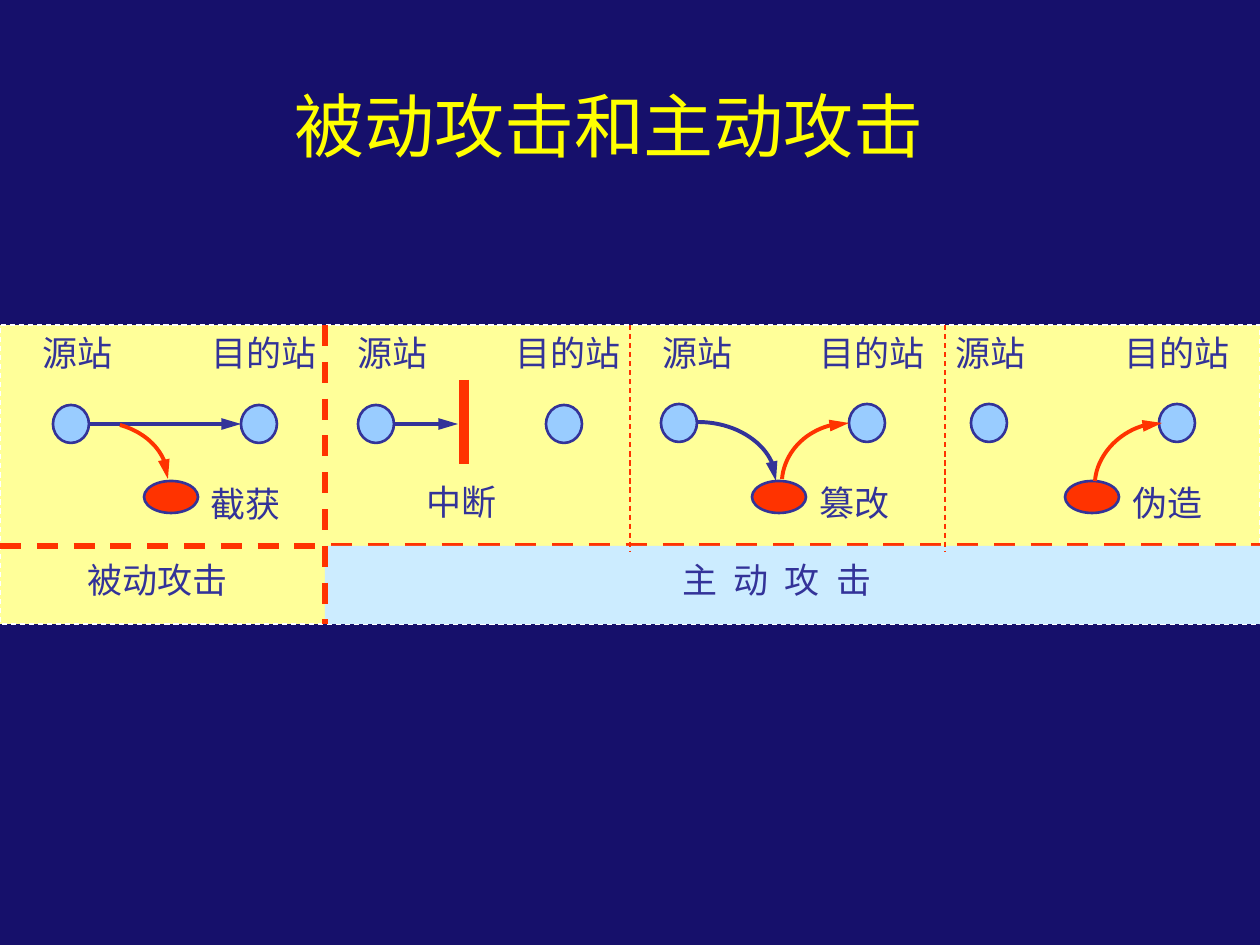
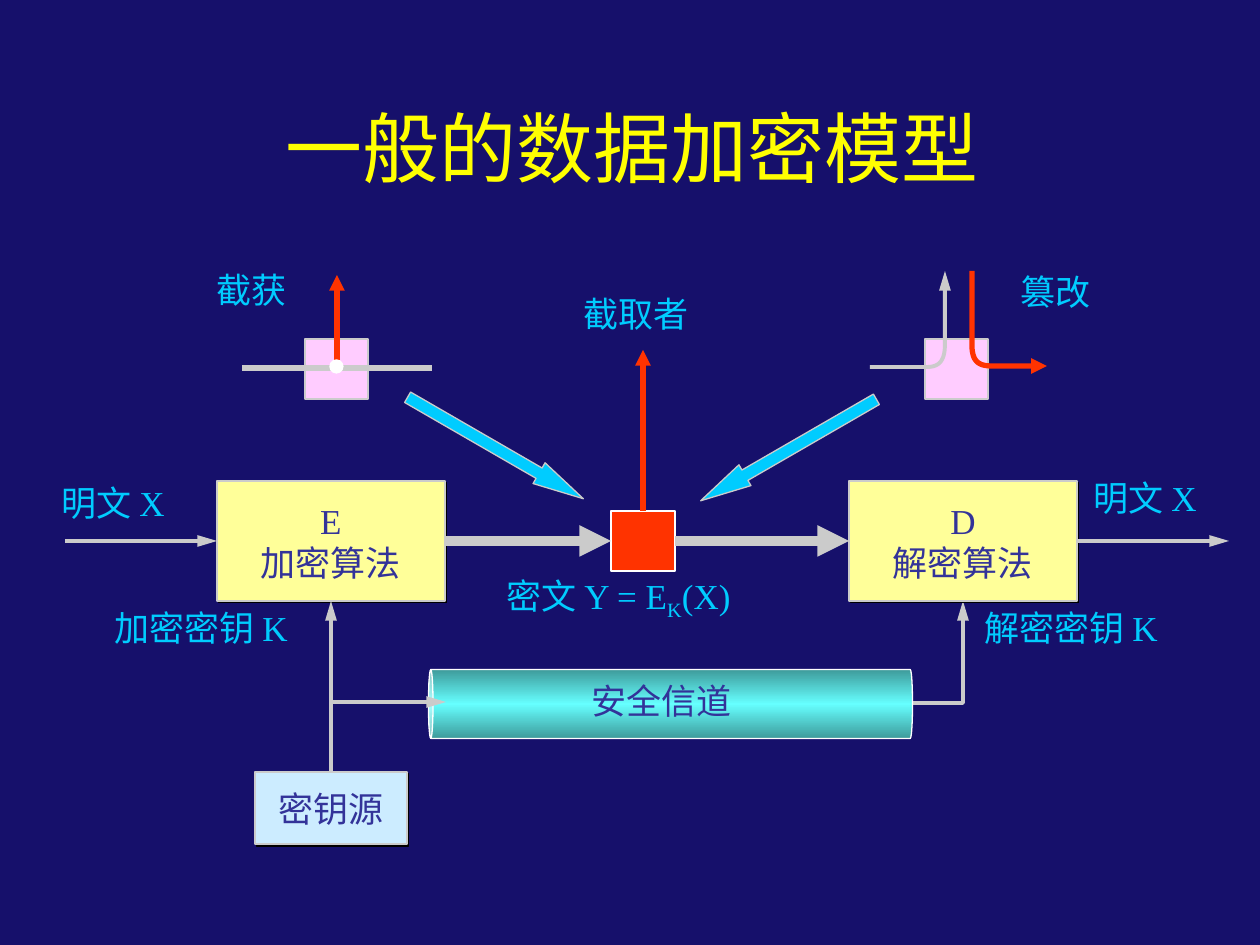
from collections import namedtuple

from lxml import etree
from pptx import Presentation
from pptx import util as u
from pptx.dml.color import RGBColor
from pptx.enum import dml, shapes, text
from pptx.oxml.ns import qn

SCALE = 914400 / 126
COLOURS = {
    "night": "16106B", "title": "FFFF01", "cream": "FFFF99", "ice": "CCECFF",
    "station": "99CCFF", "navy": "333399", "red": "FF3300", "grey": "CBCBCB",
    "cyan": "00CCFF", "pink": "FFCCFF", "white": "FFFFFF", "black": "000000",
    "teal": "3E9B9B", "aqua": "66FFFF",
}
SHAPE = shapes.MSO_SHAPE
Panel = namedtuple(
    "Panel", "source_x station_y source_label_x target_label_x attack attack_x attack_y intruder_x")
PANELS = [
    Panel(53, 405, 30, 199, "截获", 198, 476, 144),
    Panel(358, 405, 345, 503, "中断", 414, 474, None),
    Panel(661, 404, 650, 807, "篡改", 807, 475, 752),
    Panel(971, 404, 943, 1112, "伪造", 1120, 475, 1065),
]
STATION_STEP = 188


def emu(pixels):
    """Turn px into EMU."""
    return u.Emu(round(pixels * SCALE))


def rgb(name):
    """Look up a colour by name."""
    return RGBColor.from_string(COLOURS[name])


def add_xml(parent, tag, **attributes):
    """Append a DrawingML element to its parent."""
    return etree.SubElement(parent, qn(tag), attributes)


def style_line(shape, colour, width, dashed=False, arrow=False):
    """Set the colour, width, dash and end arrow of a line; thin lines get long heads."""
    shape.line.color.rgb = rgb(colour)
    shape.line.width = u.Pt(width)
    if dashed:
        shape.line.dash_style = dml.MSO_LINE.DASH
    if arrow:
        add_xml(shape.element.spPr.find(qn("a:ln")), "a:tailEnd", type="triangle",
                w="med", len="lg" if width < 3 else "med")


def style_text(frame, colour, font, size=20, align=None):
    """Format every run of a text frame."""
    for para in frame.paragraphs:
        para.alignment = align
        for span in para.runs:
            span.font.size = u.Pt(size)
            span.font.name = font
            span.font.color.rgb = rgb(colour)


def add_slide(deck, title, title_box, size):
    """Add a slide with the shared background and title style."""
    slide = deck.slides.add_slide(deck.slide_layouts[6])
    slide.background.fill.solid()
    slide.background.fill.fore_color.rgb = rgb("night")
    box = slide.shapes.add_textbox(*map(emu, title_box))
    frame = box.text_frame
    frame.word_wrap = True
    frame.vertical_anchor = text.MSO_ANCHOR.MIDDLE
    frame.text = title
    style_text(frame, "title", "Arial", size, text.PP_ALIGN.CENTER)
    return slide


def add_figure(slide, kind, bounds, fill, outline, width, dashed=False):
    """Add a filled preset shape."""
    figure = slide.shapes.add_shape(kind, *map(emu, bounds))
    figure.shadow.inherit = False
    figure.fill.solid()
    figure.fill.fore_color.rgb = rgb(fill)
    style_line(figure, outline, width, dashed)
    return figure


def add_box(slide, bounds, fill, words):
    """Add a captioned rectangle with a hard black shadow."""
    box = add_figure(slide, SHAPE.RECTANGLE, bounds, fill, "grey", 1)
    effects = box.element.spPr.find(qn("a:effectLst"))
    shadow = add_xml(effects, "a:outerShdw", dist="17780", dir="2700000",
                     algn="ctr", rotWithShape="0")
    add_xml(shadow, "a:srgbClr", val=COLOURS["black"])
    frame = box.text_frame
    frame.word_wrap = False
    frame.vertical_anchor = text.MSO_ANCHOR.MIDDLE
    frame.text = words
    style_text(frame, "navy", "Times New Roman", align=text.PP_ALIGN.CENTER)
    return box


def add_label(slide, x, y, words, colour, font, width=None):
    """Add an unwrapped label with room to spare for its full-width characters."""
    box = slide.shapes.add_textbox(
        emu(x), emu(y), emu(width or 35 * len(words) + 40), emu(55))
    box.text_frame.word_wrap = False
    box.text_frame.text = words
    style_text(box.text_frame, colour, font)
    return box


def add_line(slide, start, end, colour, width, dashed=False, arrow=False,
             begin=None, finish=None):
    """Add a straight connector, joined to (shape, side) pairs where given."""
    line = slide.shapes.add_connector(
        shapes.MSO_CONNECTOR.STRAIGHT, *map(emu, start + end))
    if begin:
        line.begin_connect(*begin)
    if finish:
        line.end_connect(*finish)
    style_line(line, colour, width, dashed, arrow)
    add_xml(line.element.spPr, "a:effectLst")
    return line


def curve(*controls, steps=24):
    """Sample a cubic curve from its four control points."""
    points = []
    for step in range(steps + 1):
        t = step / steps
        weights = ((1 - t) ** 3, 3 * t * (1 - t) ** 2, 3 * t * t * (1 - t), t ** 3)
        points.append(tuple(sum(w * control[axis] for w, control in zip(weights, controls))
                            for axis in (0, 1)))
    return points


def add_path(slide, points, colour, width=2.25):
    """Add an open outline that ends in an arrowhead."""
    places = [(emu(x), emu(y)) for x, y in points]
    builder = slide.shapes.build_freeform(*places[0])
    builder.add_line_segments(places[1:], close=False)
    path = builder.convert_to_shape()
    path.shadow.inherit = False
    path.fill.background()
    style_line(path, colour, width, arrow=True)


def add_channel(slide, bounds):
    """Add the horizontal pipe with its mirrored gradient."""
    pipe = add_figure(slide, SHAPE.CAN, bounds, "aqua", "white", 0.75)
    pipe.rotation = 270
    pipe.adjustments[0] = 0.066
    solid = pipe.element.spPr.find(qn("a:solidFill"))
    gradient = etree.Element(qn("a:gradFill"), rotWithShape="1")
    stops = add_xml(gradient, "a:gsLst")
    for position, colour in ((0, "teal"), (50000, "aqua"), (100000, "teal")):
        stop = add_xml(stops, "a:gs", pos=str(position))
        add_xml(stop, "a:srgbClr", val=COLOURS[colour])
    add_xml(gradient, "a:lin", ang="0", scaled="0")
    solid.getparent().replace(solid, gradient)


def add_panel(slide, panel):
    """Add the stations, intruder and labels of one attack."""
    for x in (panel.source_x, panel.source_x + STATION_STEP):
        add_figure(slide, SHAPE.OVAL, (x, panel.station_y, 36, 38),
                   "station", "navy", 1.5)
    if panel.intruder_x:
        add_figure(slide, SHAPE.OVAL, (panel.intruder_x, 481, 54, 32), "red", "navy", 1.5)
    for x, y, words in ((panel.source_label_x, 325, "源站"),
                        (panel.target_label_x, 325, "目的站"),
                        (panel.attack_x, panel.attack_y, panel.attack)):
        add_label(slide, x, y, words, "navy", "Arial")


def build_attacks(deck):
    """Build the slide on passive and active attacks."""
    slide = add_slide(deck, "被动攻击和主动攻击", (138, 92, 942, 66), 40)
    add_figure(slide, SHAPE.RECTANGLE, (0, 325, 1260, 299), "cream", "white", 0.75, True)
    add_line(slide, (0, 546), (1260, 546), "red", 3, dashed=True)
    active = add_figure(slide, SHAPE.RECTANGLE, (325, 546, 935, 78), "ice", "ice", 0.75)
    active.line.fill.background()
    for panel in PANELS:
        add_panel(slide, panel)
    add_line(slide, (89, 424), (241, 424), "navy", 2.25, arrow=True)
    add_line(slide, (394, 424), (458, 424), "navy", 2.25, arrow=True)
    add_line(slide, (464, 380), (464, 464), "red", 6)
    add_path(slide, curve((120, 425), (149, 433), (168, 455), (168, 479)), "red")
    add_path(slide, curve((698, 422), (741, 422), (776, 449), (776, 481)), "navy")
    add_path(slide, curve((782, 479), (785, 447), (814, 423), (849, 423)), "red")
    add_path(slide, curve((1095, 481), (1097, 452), (1126, 423), (1162, 423)), "red")
    add_label(slide, 75, 552, "被动攻击", "navy", "Arial")
    spaced = add_label(slide, 670, 552, "主 动 攻 击", "navy", "Arial", 240)
    for properties in spaced.element.iter(qn("a:rPr")):
        properties.set("spc", "240")
    for x, bottom, width in ((325, 624, 3), (630, 552, 0.75), (945, 552, 0.75)):
        add_line(slide, (x, 325), (x, bottom), "red", width, dashed=True)


def add_ciphertext(slide):
    """Add the ciphertext formula with its subscript key."""
    box = add_label(slide, 494, 568, "密文 Y = E", "cyan", "Times New Roman", 270)
    para = box.text_frame.paragraphs[0]
    for piece in ("K", "(X)"):
        para.add_run().text = piece
    style_text(box.text_frame, "cyan", "Times New Roman")
    list(box.element.iter(qn("a:rPr")))[1].set("baseline", "-25000")


def build_encryption(deck):
    """Build the slide on the data encryption model."""
    slide = add_slide(deck, "一般的数据加密模型", (97, 84, 1071, 126), 44)
    add_path(slide, [(689, 703), (963, 703), (963, 601)], "grey")
    add_channel(slide, (636, 462, 69, 484))
    encoder = add_box(slide, (217, 481, 228, 120), "cream", "E\n加密算法")
    decoder = add_box(slide, (849, 481, 228, 120), "cream", "D\n解密算法")
    key_source = add_box(slide, (255, 772, 152, 72), "ice", "密钥源")
    tap = add_figure(slide, SHAPE.RECTANGLE, (611, 511, 64, 60), "red", "white", 1)
    for start, end, width, begin, finish in (
            ((65, 541), (217, 541), 2.25, None, (encoder, 1)),
            ((445, 541), (611, 541), 6, (encoder, 3), (tap, 1)),
            ((675, 541), (849, 541), 6, (tap, 3), (decoder, 1)),
            ((1077, 541), (1229, 541), 2.25, (decoder, 3), None),
            ((331, 772), (331, 601), 2.25, (key_source, 0), (encoder, 2)),
            ((331, 702), (446, 702), 2.25, None, None)):
        add_line(slide, start, end, "grey", width, arrow=True, begin=begin, finish=finish)
    add_line(slide, (643, 511), (643, 350), "red", 3, arrow=True, begin=(tap, 0))
    for x in (305, 925):
        add_figure(slide, SHAPE.RECTANGLE, (x, 339, 63, 60), "pink", "grey", 1)
    add_line(slide, (242, 368), (432, 368), "grey", 3)
    add_line(slide, (337, 368), (337, 275), "red", 3, arrow=True)
    add_figure(slide, SHAPE.OVAL, (330, 360, 13, 13), "white", "white", 0.75)
    diverted = curve((927, 367), (940, 367), (945, 360), (945, 344))
    add_path(slide, [(870, 367), *diverted, (945, 271)], "grey")
    injected = curve((972, 344), (972, 360), (977, 366), (992, 366))
    add_path(slide, [(972, 271), *injected, (1047, 366)], "red", 3)
    for x, y, angle in ((394, 436, 30), (687, 438, 150)):
        pointer = add_figure(slide, SHAPE.RIGHT_ARROW, (x, y, 203, 24), "cyan", "grey", 0.75)
        pointer.adjustments[1] = 2.13
        pointer.rotation = angle
    for x, y, words, colour, width in (
            (102, 600, "加密密钥 K", "cyan", 225), (972, 600, "解密密钥 K", "cyan", 225),
            (49, 475, "明文 X", "cyan", 160), (1081, 470, "明文 X", "cyan", 160),
            (571, 286, "截取者", "cyan", None), (204, 262, "截获", "cyan", None),
            (1008, 264, "篡改", "cyan", None), (579, 673, "安全信道", "navy", None)):
        add_label(slide, x, y, words, colour, "Times New Roman", width)
    add_ciphertext(slide)


def main():
    """Build and save the deck."""
    deck = Presentation()
    deck.slide_width, deck.slide_height = emu(1260), emu(945)
    build_attacks(deck)
    build_encryption(deck)
    deck.save("out.pptx")


if __name__ == "__main__":
    main()
